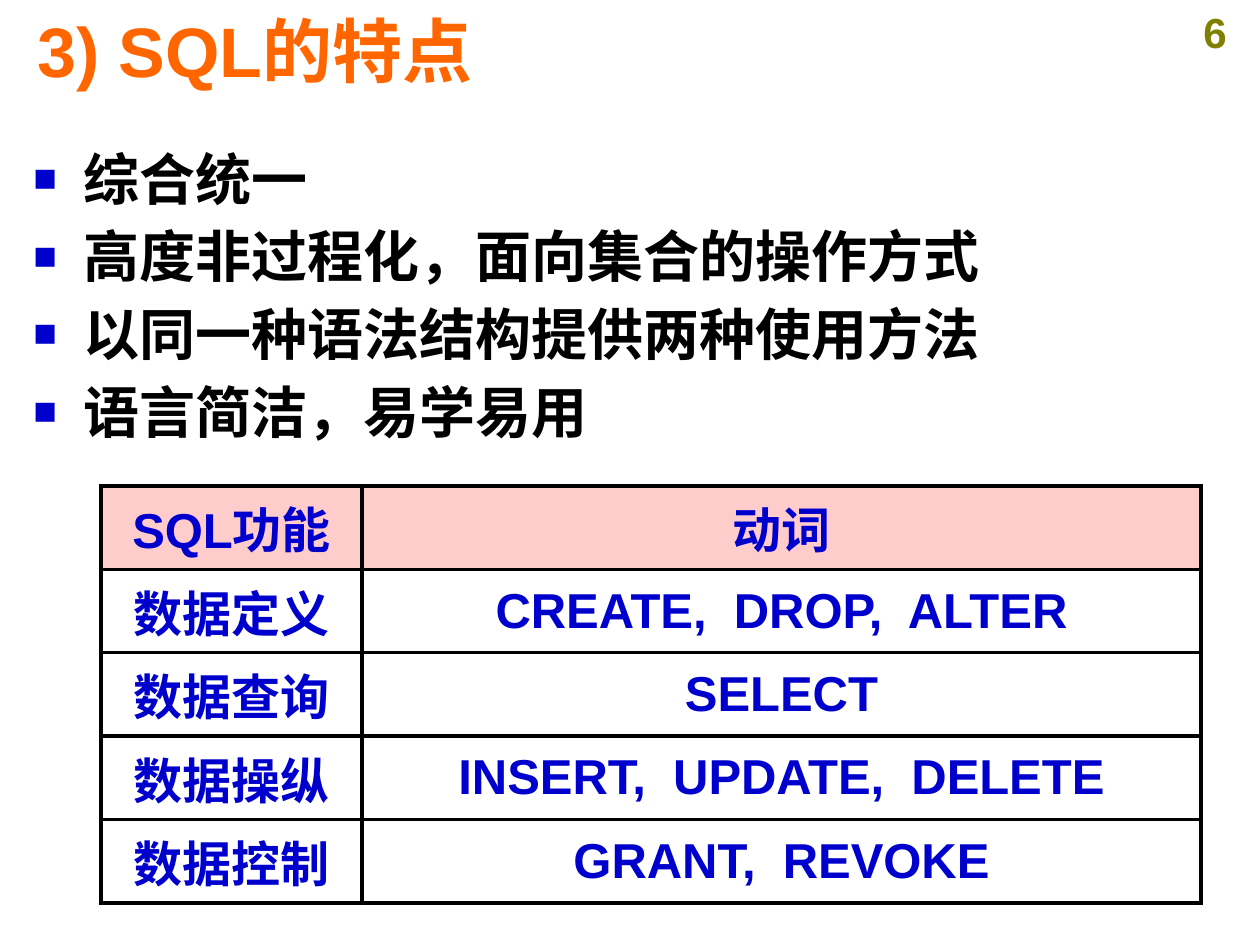
from lxml.etree import SubElement
from pptx import Presentation
from pptx.dml.color import RGBColor
from pptx.enum.text import MSO_ANCHOR as Anchor, PP_ALIGN as Align
from pptx.oxml.ns import qn
from pptx.util import Pt

PX = 914400 / 126
ORANGE = RGBColor(0xFF, 0x66, 0x00)
OLIVE = RGBColor(0x80, 0x80, 0x00)
BLUE = RGBColor(0x00, 0x00, 0xCC)
BLACK = RGBColor(0x00, 0x00, 0x00)
PINK = RGBColor(0xFF, 0xCC, 0xCC)
WHITE = RGBColor(0xFF, 0xFF, 0xFF)

FEATURES = [
    "综合统一",
    "高度非过程化，面向集合的操作方式",
    "以同一种语法结构提供两种使用方法",
    "语言简洁，易学易用",
]
VERBS = [
    ("SQL功能", "动词"),
    ("数据定义", "CREATE,  DROP,  ALTER"),
    ("数据查询", "SELECT"),
    ("数据操纵", "INSERT,  UPDATE,  DELETE"),
    ("数据控制", "GRANT,  REVOKE"),
]


def px(n):
    return round(n * PX)


def style(p, size, color, font="Arial", align=Align.LEFT):
    p.alignment = align
    for r in p.runs:
        r.font.size = Pt(size)
        r.font.bold = True
        r.font.name = font
        r.font.color.rgb = color


def add_text(s, box, text, anchor=Anchor.TOP):
    tf = s.shapes.add_textbox(*map(px, box)).text_frame
    tf.word_wrap = True
    tf.vertical_anchor = anchor
    tf.text = text
    return tf


def add_bullet(p):
    pPr = p._p.get_or_add_pPr()
    pPr.set("marL", str(px(50)))
    pPr.set("indent", str(px(-50)))
    SubElement(SubElement(pPr, qn("a:buClr")), qn("a:srgbClr"), val=str(BLUE))
    SubElement(pPr, qn("a:buSzPct"), val="70000")
    SubElement(pPr, qn("a:buFont"), typeface="Arial")
    SubElement(pPr, qn("a:buChar"), char="■")


def add_bullets(s, box, items):
    tf = add_text(s, box, "\n".join(items))
    for i, p in enumerate(tf.paragraphs):
        add_bullet(p)
        p.space_before = Pt(6 if i else 0)
        style(p, 32, BLACK, "Times New Roman")


def add_borders(cell):
    tcPr = cell._tc.get_or_add_tcPr()
    for side in ("lnL", "lnR", "lnT", "lnB"):
        ln = SubElement(tcPr, qn(f"a:{side}"), w=str(Pt(2.25)))
        fill = SubElement(ln, qn("a:solidFill"))
        SubElement(fill, qn("a:srgbClr"), val=str(BLACK))


def add_grid(s, box, widths, rows):
    table = s.shapes.add_table(len(rows), len(widths), *map(px, box)).table
    for col, width in zip(table.columns, widths):
        col.width = px(width)
    for i, row in enumerate(rows):
        for j, text in enumerate(row):
            cell = table.cell(i, j)
            add_borders(cell)
            cell.fill.solid()
            cell.fill.fore_color.rgb = WHITE if i else PINK
            cell.vertical_anchor = Anchor.MIDDLE
            cell.text_frame.text = text
            style(cell.text_frame.paragraphs[0], 28, BLUE, align=Align.CENTER)


def main():
    """Build the slide on the features of SQL."""
    prs = Presentation()
    prs.slide_width, prs.slide_height = px(1260), px(945)
    s = prs.slides.add_slide(prs.slide_layouts[6])
    number = add_text(s, (1170, 0, 90, 63), "6")
    style(number.paragraphs[0], 24, OLIVE, align=Align.CENTER)
    title = add_text(s, (25, 15, 1193, 70), "3) SQL的特点", Anchor.MIDDLE)
    style(title.paragraphs[0], 40, ORANGE)
    add_bullets(s, (21, 138, 1154, 750), FEATURES)
    add_grid(s, (101, 486, 1100, 417), (261, 839), VERBS)
    prs.save("out.pptx")


if __name__ == "__main__":
    main()
